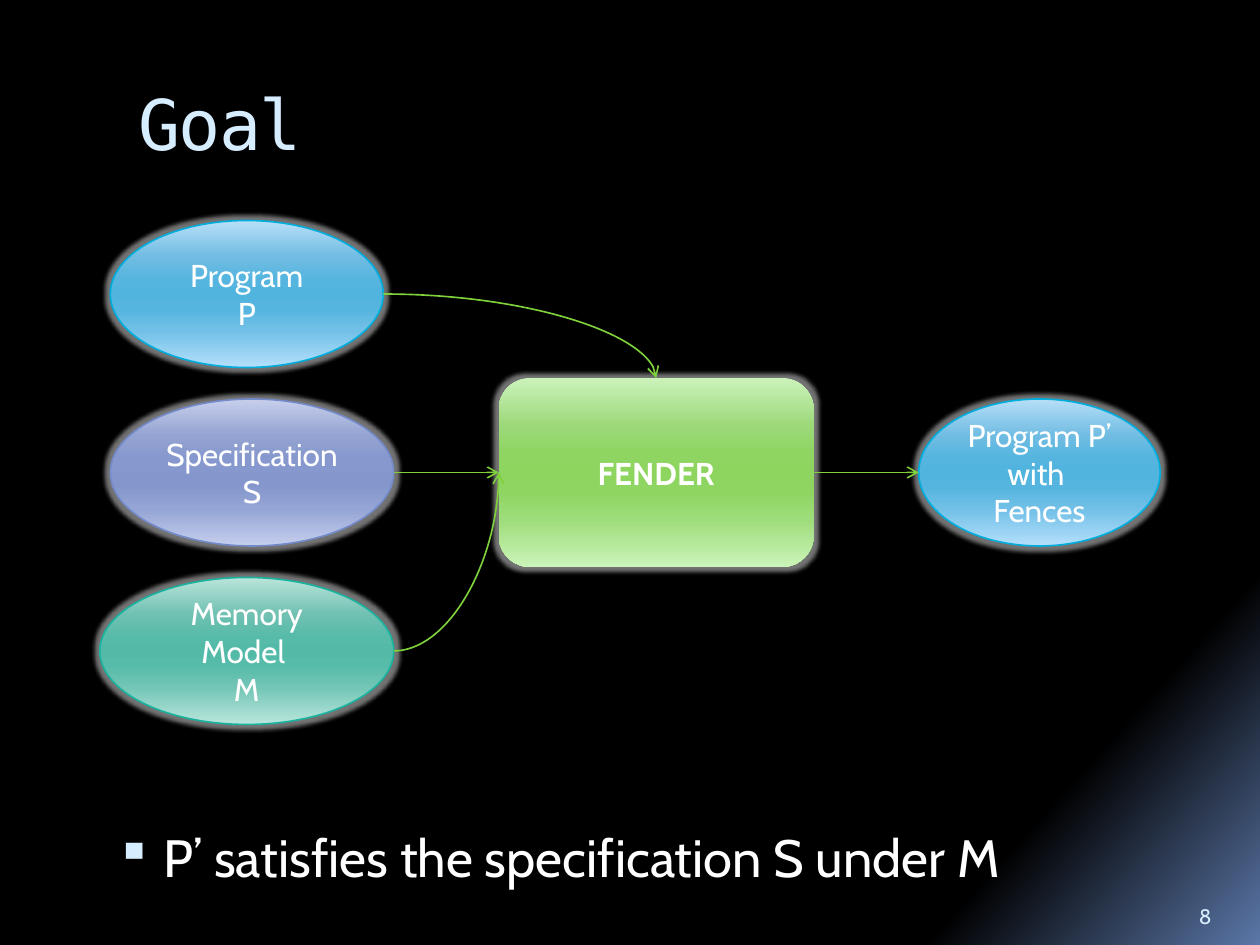
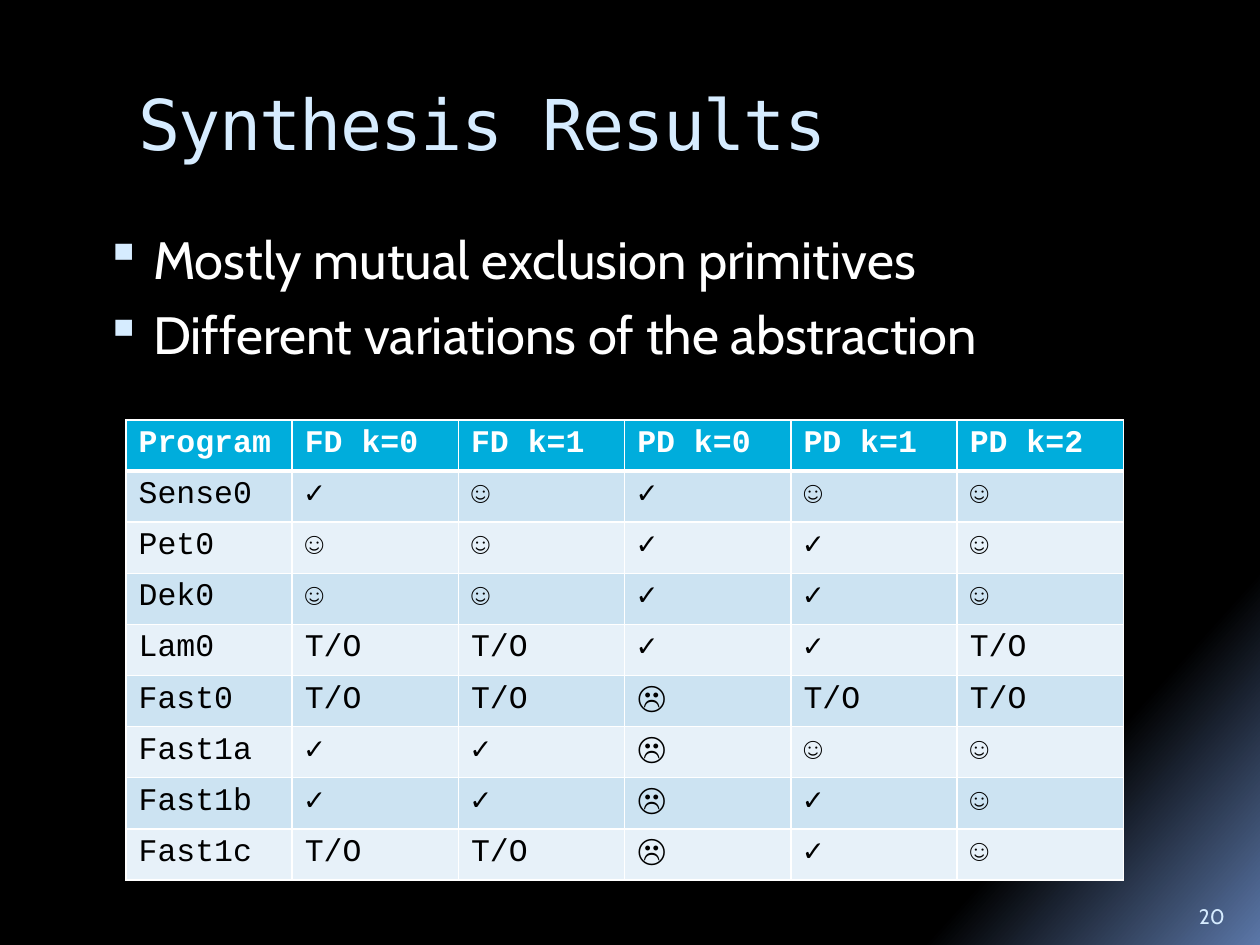
from lxml.etree import SubElement
from pptx import Presentation
from pptx.dml.color import RGBColor
from pptx.enum.shapes import MSO_CONNECTOR, MSO_SHAPE
from pptx.enum.text import MSO_ANCHOR, PP_ALIGN
from pptx.oxml.ns import qn
from pptx.util import Emu, Inches, Pt

COLORS = {
    "text": "FFFFFF", "title": "D6ECFF", "ink": "000000", "night": "000000", "dawn": "5B77A8",
    "blue": "00ADDC", "violet": "738AC8", "teal": "1AB39F", "green": "7FD13B",
    "band_dark": "CCE3F2", "band_light": "E7F1F9",
}
RAMPS = {
    "blue": ("B7DFF8", "70BCE2", "55B5DF", "50B4DF", "55B5DF", "72C0E7", "B4DFFB"),
    "violet": ("C7CFEC", "94A3D1", "8698CD", "8496CC", "8698CD", "95A5D5", "C5CEED"),
    "teal": ("BBE5DB", "71C1B2", "57BBA9", "53BAA8", "57BBA9", "74C6B6", "B9E6DC"),
    "green": ("CCF2BB", "9CD979", "8FD562", "8DD55F", "8FD562", "9EDD7B", "CBF4B9"),
}
RAMP_STOPS = (0, 25, 40, 50, 60, 75, 100)
FONT, TITLE_FONT, TABLE_FONT = "Cabin", "DejaVu Sans Mono", "Courier New"
COLS, ROWS = 240, 180
WIDTH, HEIGHT = Inches(10), Inches(7.5)
ELLIPSE_RIGHT, ELLIPSE_LEFT = 6, 2
BOX_TOP, BOX_LEFT, BOX_BOTTOM, BOX_RIGHT = range(4)


def grid(x, y, w, h):
    """Turn grid columns and rows into slide lengths."""
    return (Emu(round(x * WIDTH / COLS)), Emu(round(y * HEIGHT / ROWS)),
            Emu(round(w * WIDTH / COLS)), Emu(round(h * HEIGHT / ROWS)))


def rgb(name):
    """Look up a named colour."""
    return RGBColor.from_string(COLORS[name])


def gradient(fill, element, stops, angle):
    """Fill with a linear gradient, its angle measured clockwise."""
    fill.gradient()
    fill.gradient_angle = 360 - angle
    gs_list = element.find(".//" + qn("a:gsLst"))
    for gs in list(gs_list):
        gs_list.remove(gs)
    for pos, color in stops:
        gs = SubElement(gs_list, qn("a:gs"), pos=str(pos * 1000))
        SubElement(gs, qn("a:srgbClr"), val=color)


def write(tf, lines, size, color, font=FONT, bold=False, align=None):
    """Write one paragraph per line in a single text style."""
    for i, line in enumerate(lines):
        p = tf.paragraphs[0] if i == 0 else tf.add_paragraph()
        p.text = line
        p.alignment = align
        for r in p.runs:
            r.font.size, r.font.name, r.font.bold = Pt(size), font, bold
            r.font.color.rgb = rgb(color)


def text_box(slide, box, lines, size, color, font=FONT, anchor=MSO_ANCHOR.TOP):
    """Add a wrapping text box and return its text frame."""
    tf = slide.shapes.add_textbox(*grid(*box)).text_frame
    tf.word_wrap = True
    tf.vertical_anchor = anchor
    write(tf, lines, size, color, font)
    return tf


def base_slide(prs, title, number):
    """Add a slide with the shared background, title and page number."""
    slide = prs.slides.add_slide(prs.slide_layouts[6])
    stops = ((65, COLORS["night"]), (84, COLORS["night"]), (100, COLORS["dawn"]))
    gradient(slide.background.fill, slide._element, stops, 42)
    tf = text_box(slide, (24, 13.5, 204, 24), [title], 40, "title", TITLE_FONT)
    tf.margin_top = Inches(0.08)
    tf.paragraphs[0].runs[0].font._element.set("spc", "-100")
    text_box(slide, (226, 168.5, 12, 9.6), [str(number)], 12, "title", anchor=MSO_ANCHOR.BOTTOM)
    return slide


def bullets(slide, box, lines):
    """Add a list with small square bullets."""
    tf = text_box(slide, box, lines, 30, "text")
    for p in tf.paragraphs:
        p.space_before = Pt(7)
        pPr = p._p.get_or_add_pPr()
        pPr.set("marL", str(Inches(0.45)))
        pPr.set("indent", str(Inches(-0.38)))
        SubElement(SubElement(pPr, qn("a:buClr")), qn("a:srgbClr"), val=COLORS["title"])
        SubElement(pPr, qn("a:buSzPct"), val="95000")
        SubElement(pPr, qn("a:buChar"), char="▪")


def node(group, kind, box, lines, hue, outlined=True):
    """Add a glowing gradient shape with centred text."""
    sp = group.shapes.add_shape(kind, *grid(*box))
    gradient(sp.fill, sp._element.spPr, zip(RAMP_STOPS, RAMPS[hue]), 90)
    if outlined:
        sp.line.color.rgb = rgb(hue)
        sp.line.width = Pt(0.94)
    else:
        sp.line.fill.background()
    sp.shadow.inherit = False
    effects = sp._element.spPr.find(qn("a:effectLst"))
    glow = SubElement(effects, qn("a:glow"), rad=str(Pt(5)))
    color = SubElement(glow, qn("a:srgbClr"), val=COLORS["text"])
    SubElement(color, qn("a:alpha"), val="45000")
    tf = sp.text_frame
    tf.word_wrap = True
    tf.vertical_anchor = MSO_ANCHOR.MIDDLE
    write(tf, lines, 18, "text", bold=not outlined, align=PP_ALIGN.CENTER)
    return sp


def side(sp, dx, dy):
    """Give the point at these shares of a shape's width and height."""
    return Emu(round(sp.left + dx * sp.width)), Emu(round(sp.top + dy * sp.height))


def arrow(group, source, source_site, target, target_site):
    """Join the right side of one shape to a side of another."""
    shares = {BOX_TOP: (0.5, 0), BOX_LEFT: (0, 0.5), BOX_BOTTOM: (0.5, 1), ELLIPSE_LEFT: (0, 0.5)}
    bent = source.top + source.height // 2 != target.top + target.height // 2
    end = side(target, *(shares[target_site] if bent else (0, 0.5)))
    cxn = group.shapes.add_connector(MSO_CONNECTOR.CURVE, *side(source, 1, 0.5), *end)
    cxn.line.color.rgb = rgb("green")
    cxn.line.width = Pt(0.94)
    spPr = cxn._element.spPr
    if bent:
        spPr.find(qn("a:prstGeom")).set("prst", "curvedConnector2")
    SubElement(spPr.find(qn("a:ln")), qn("a:tailEnd"), type="arrow")
    SubElement(spPr, qn("a:effectLst"))
    links = cxn._element.find(".//" + qn("p:cNvCxnSpPr"))
    for tag, sp, site in (("a:stCxn", source, source_site), ("a:endCxn", target, target_site)):
        SubElement(links, qn(tag), id=str(sp.shape_id), idx=str(site))


def flow(slide, box):
    """Draw three inputs running through the tool to one output."""
    x, y, w, h = box
    group = slide.shapes.add_group_shape()
    oval_h, pitch = 28, (h - 28) / 2
    middle = y + h / 2
    tool = node(group, MSO_SHAPE.ROUNDED_RECTANGLE, (x + 76, middle - 18, 60, 36),
                ["FENDER"], "green", outlined=False)
    inputs = (
        (2, 52, ["Program", "P"], "blue", BOX_TOP),
        (2, 54, ["Specification S"], "violet", BOX_LEFT),
        (0, 56, ["Memory\vModel ", "M"], "teal", BOX_BOTTOM),
    )
    for i, (dx, width, lines, hue, site) in enumerate(inputs):
        oval = node(group, MSO_SHAPE.OVAL, (x + dx, y + i * pitch, width, oval_h), lines, hue)
        arrow(group, oval, ELLIPSE_RIGHT, tool, site)
    result = node(group, MSO_SHAPE.OVAL, (x + w - 46, middle - oval_h / 2, 46, oval_h),
                  ["Program P’\vwith \vFences"], "blue")
    arrow(group, tool, BOX_RIGHT, result, ELLIPSE_LEFT)


def border(cell, edge, width):
    """Draw one white cell edge."""
    tcPr = cell._tc.get_or_add_tcPr()
    ln = SubElement(tcPr, qn("a:" + edge), w=str(Pt(width)))
    SubElement(SubElement(ln, qn("a:solidFill")), qn("a:srgbClr"), val=COLORS["text"])


def results_table(slide, box, rows):
    """Add a banded table with a coloured header row."""
    x, y, w, h = grid(*box)
    table = slide.shapes.add_table(len(rows), len(rows[0]), x, y, w, h).table
    for i, row in enumerate(rows):
        header = i == 0
        fill = "blue" if header else "band_dark" if i % 2 else "band_light"
        for j, value in enumerate(row):
            cell = table.cell(i, j)
            for edge in ("lnL", "lnR", "lnT", "lnB"):
                thick = (i, edge) in ((0, "lnB"), (1, "lnT"))
                border(cell, edge, 3 if thick else 1)
            cell.fill.solid()
            cell.fill.fore_color.rgb = rgb(fill)
            write(cell.text_frame, [value], 18, "text" if header else "ink", TABLE_FONT, header)


def main():
    """Build the deck."""
    prs = Presentation()
    prs.slide_width, prs.slide_height = WIDTH, HEIGHT

    goal = base_slide(prs, "Goal", 8)
    bullets(goal, (18, 156, 214, 24), ["P’ satisfies the specification S under M"])
    flow(goal, (19, 42, 202, 96))

    results = base_slide(prs, "Synthesis Results", 20)
    bullets(results, (16, 42, 214, 118),
            ["Mostly mutual exclusion primitives", "Different variations of the abstraction"])
    results_table(results, (24, 80, 190, 87.6), (
        ("Program", "FD k=0", "FD k=1", "PD k=0", "PD k=1", "PD k=2"),
        ("Sense0", "✓", "☺", "✓", "☺", "☺"),
        ("Pet0", "☺", "☺", "✓", "✓", "☺"),
        ("Dek0", "☺", "☺", "✓", "✓", "☺"),
        ("Lam0", "T/O", "T/O", "✓", "✓", "T/O"),
        ("Fast0", "T/O", "T/O", "☹", "T/O", "T/O"),
        ("Fast1a", "✓", "✓", "☹", "☺", "☺"),
        ("Fast1b", "✓", "✓", "☹", "✓", "☺"),
        ("Fast1c", "T/O", "T/O", "☹", "✓", "☺"),
    ))
    prs.save("out.pptx")


main()
